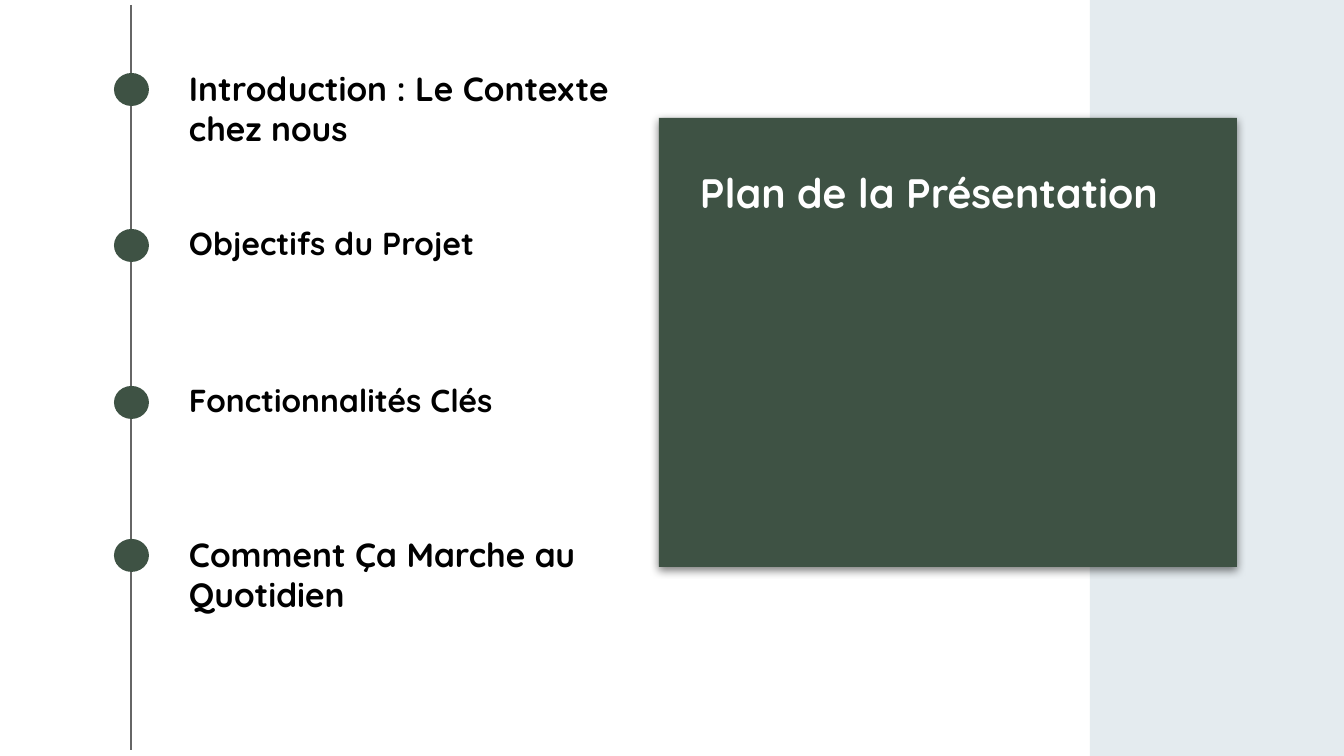
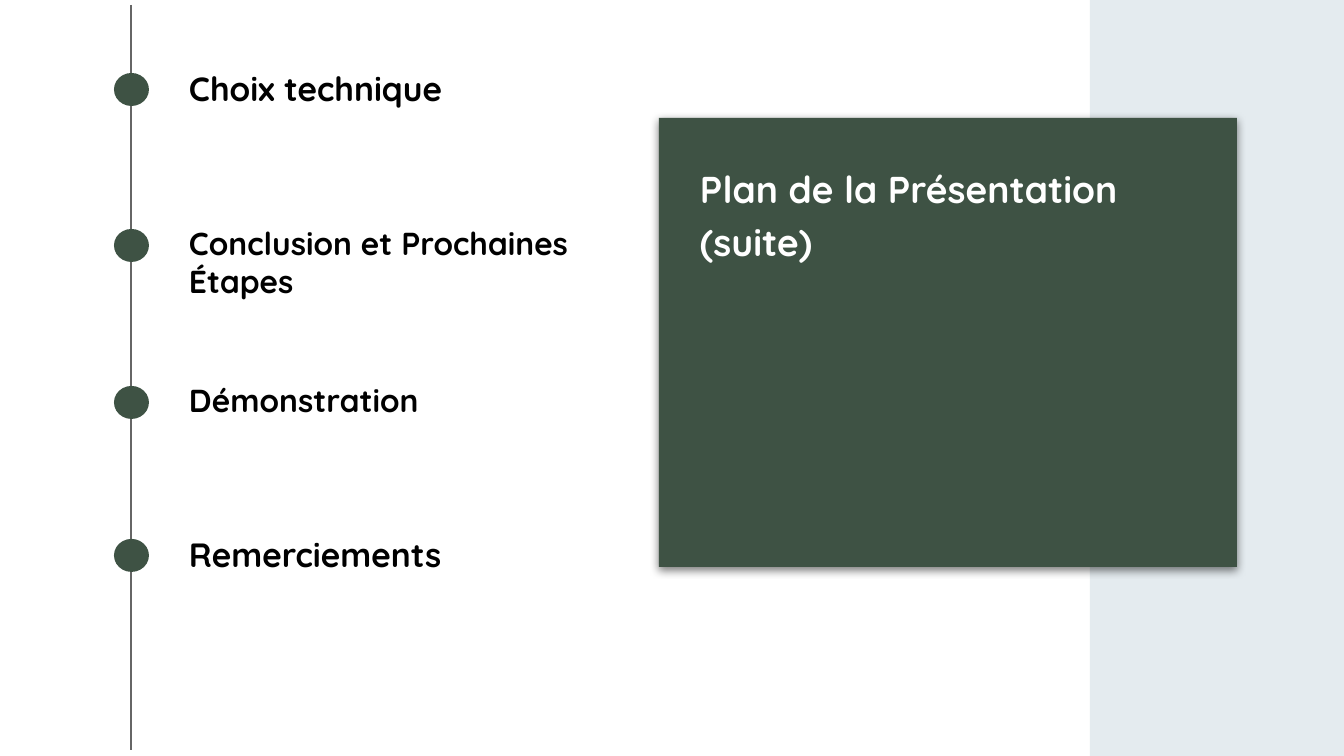
from dataclasses import dataclass

from lxml.etree import SubElement
from pptx import Presentation
from pptx.dml.color import RGBColor
from pptx.enum.shapes import MSO_CONNECTOR, MSO_SHAPE
from pptx.oxml.ns import qn
from pptx.util import Emu, Pt


@dataclass(frozen=True)
class Theme:
    font: str = "Quicksand"
    green: str = "3E5244"
    pale: str = "E4EBEF"
    grey: str = "666666"
    black: str = "000000"
    white: str = "FFFFFF"
    large: int = 18
    small: int = 17
    title: int = 22
    long: int = 20
    lead: float = 1.17


THEME = Theme()
SCALE = 914400 / 134.4
WIDE, HIGH = 1344, 756
AXIS = 131
STEPS = [
    (73, 146, THEME.large),
    (229, 146, THEME.small),
    (386, 141, THEME.small),
    (539, 210, THEME.large),
]
PLANS = [
    ("Plan de la Présentation", THEME.title, [
        "Introduction : Le Contexte chez nous",
        "Objectifs du Projet",
        "Fonctionnalités Clés",
        "Comment Ça Marche au Quotidien",
    ]),
    ("Plan de la Présentation (suite)", THEME.long, [
        "Choix technique",
        "Conclusion et Prochaines Étapes",
        "Démonstration",
        "Remerciements",
    ]),
]


def px(count):
    return Emu(round(count * SCALE))


def add_block(slide, kind, box, color):
    shape = slide.shapes.add_shape(kind, *map(px, box))
    shape.shadow.inherit = False
    shape.fill.solid()
    shape.fill.fore_color.rgb = RGBColor.from_string(color)
    shape.line.fill.background()
    return shape


def add_shade(shape):
    group = shape._element.spPr.find(qn("a:effectLst"))
    shade = SubElement(group, qn("a:outerShdw"), blurRad=str(Pt(4.5)),
                       dist=str(Pt(1.5)), dir="5400000",
                       algn="bl", rotWithShape="0")
    tint = SubElement(shade, qn("a:srgbClr"), val=THEME.black)
    SubElement(tint, qn("a:alpha"), val="50000")


def add_axis(slide):
    line = slide.shapes.add_connector(
        MSO_CONNECTOR.STRAIGHT, px(AXIS), px(5), px(AXIS), px(750))
    line.line.color.rgb = RGBColor.from_string(THEME.grey)
    line.line.width = Pt(1.5)
    SubElement(line._element.spPr, qn("a:effectLst"))


def add_text(slide, box, text, size, color, lead=None):
    frame = slide.shapes.add_textbox(*map(px, box)).text_frame
    frame.word_wrap = True
    frame.margin_left = frame.margin_right = px(13)
    frame.margin_top = frame.margin_bottom = px(13)
    para = frame.paragraphs[0]
    para.text = text
    para.line_spacing = lead
    para.font.name = THEME.font
    para.font.size = Pt(size)
    para.font.bold = True
    para.font.color.rgb = RGBColor.from_string(color)


def add_plan(deck, title, size, items):
    slide = deck.slides.add_slide(deck.slide_layouts[6])
    add_block(slide, MSO_SHAPE.RECTANGLE, (1090, 0, 254, HIGH), THEME.pale)
    card = add_block(slide, MSO_SHAPE.RECTANGLE, (659, 118, 578, 449),
                     THEME.green)
    add_shade(card)
    add_axis(slide)
    for (top, high, scale), item in zip(STEPS, items):
        add_block(slide, MSO_SHAPE.OVAL, (114, top, 35, 33), THEME.green)
        add_text(slide, (176, top - 18, 456, high), item, scale, THEME.black)
    add_text(slide, (687, 146, 524, 392), title, size, THEME.white,
             THEME.lead)


def main():
    deck = Presentation()
    deck.slide_width, deck.slide_height = px(WIDE), px(HIGH)
    for plan in PLANS:
        add_plan(deck, *plan)
    deck.save("out.pptx")


if __name__ == "__main__":
    main()
